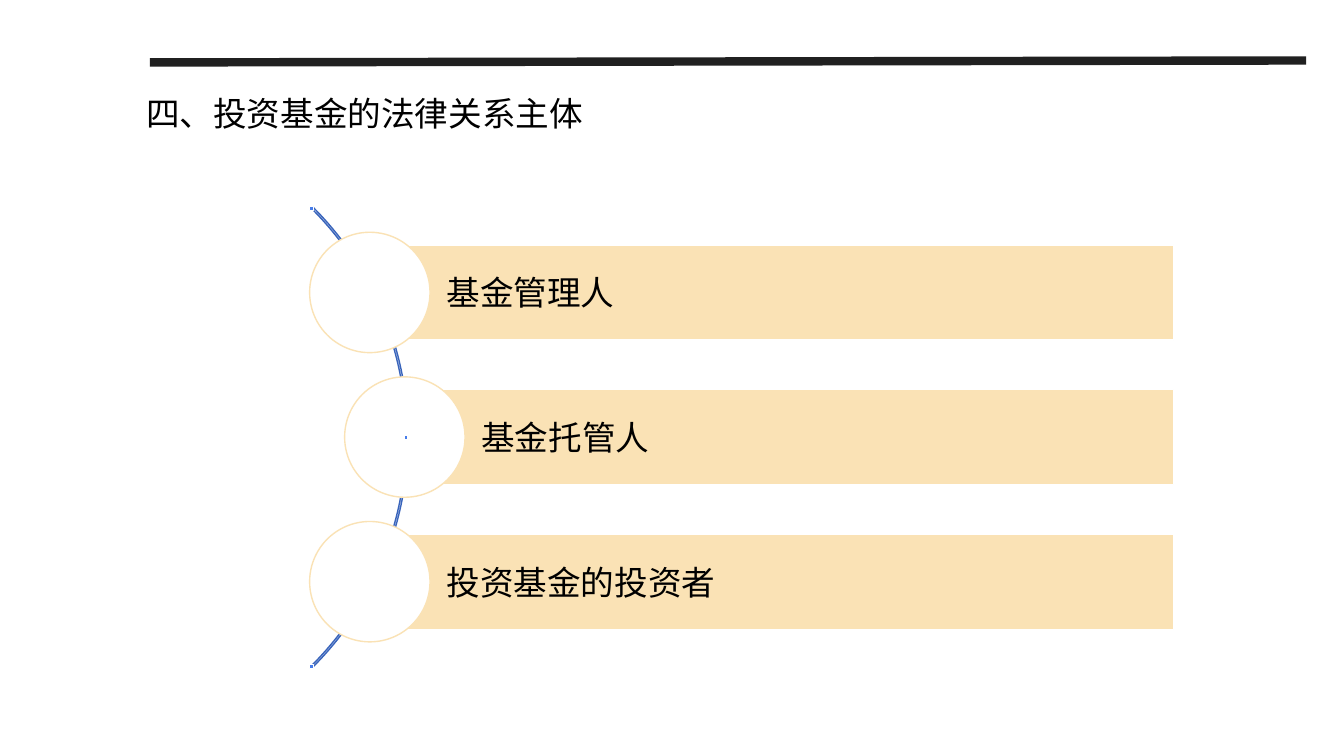
from lxml.etree import SubElement
from pptx import Presentation
from pptx.dml.color import RGBColor
from pptx.enum.shapes import MSO_CONNECTOR, MSO_SHAPE
from pptx.enum.text import MSO_ANCHOR, PP_ALIGN
from pptx.oxml.ns import qn
from pptx.util import Pt

FONT = "Noto Sans CJK SC"
SAND, WHITE, BLUE = "FAE2B5", "FFFFFF", "477DEA"


def write(frame, text, left=7.2, edge=3.6, anchor=MSO_ANCHOR.TOP, lead=1.0, before=0):
    frame.word_wrap = True
    frame.vertical_anchor = anchor
    frame.margin_left, frame.margin_right = Pt(left), Pt(edge)
    frame.margin_top = frame.margin_bottom = Pt(edge)
    para = frame.paragraphs[0]
    para.alignment = PP_ALIGN.LEFT
    para.line_spacing, para.space_before = lead, Pt(before)
    run = para.add_run()
    run.text = text
    run.font.size, run.font.name = Pt(24), FONT
    run.font.color.rgb = RGBColor.from_string("000000")
    SubElement(run.font._element, qn("a:ea"), typeface=FONT)


def draw(kind, x, y, w, h, line, fill=None):
    shape = slide.shapes.add_shape(kind, Pt(x), Pt(y), Pt(w), Pt(h))
    shape.shadow.inherit = False
    if fill:
        shape.fill.solid()
        shape.fill.fore_color.rgb = RGBColor.from_string(fill)
    else:
        shape.fill.background()
    shape.line.color.rgb = RGBColor.from_string(line)
    shape.line.width = Pt(1)
    return shape


deck = Presentation()
deck.slide_width, deck.slide_height = Pt(960), Pt(540)
slide = deck.slides.add_slide(deck.slide_layouts[5])

# Rule above the title
rule = slide.shapes.add_connector(
    MSO_CONNECTOR.STRAIGHT, Pt(107), Pt(44.6), Pt(933), Pt(43.2))
rule.line.color.rgb = RGBColor.from_string("202020")
rule.line.width = Pt(6)
SubElement(rule._element.spPr, qn("a:effectLst"))

# Title
title = slide.shapes.title
title.left, title.top, title.width, title.height = Pt(97.2), Pt(55.4), Pt(578), Pt(94.3)
write(title.text_frame, "四、投资基金的法律关系主体", lead=1.25, before=10)

# Arc behind the list
mid, size = 312.2, 464.4
arc = draw(MSO_SHAPE.BLOCK_ARC, -172.8, mid - size / 2, size, size, "3964BB")
for i, value in enumerate((189, 27, 0.003)):
    arc.adjustments[i] = value

# Bars, each starting at the centre of its circle
right, pitch, tall, disc = 838.2, 103.3, 68, 86
rows = [(264.2, "基金管理人"), (289.2, "基金托管人"), (264.2, "投资基金的投资者")]
for i, (x, text) in enumerate(rows):
    y = mid + (i - 1) * pitch
    bar = draw(MSO_SHAPE.RECTANGLE, x, y - tall / 2, right - x, tall, WHITE, SAND)
    write(bar.text_frame, text, left=54.7, edge=5, anchor=MSO_ANCHOR.MIDDLE)
    draw(MSO_SHAPE.OVAL, x - disc / 2, y - disc / 2, disc, disc, SAND, WHITE)

# Small marks at the ends and middle of the arc
for i, x in enumerate((221, 288.7, 221)):
    draw(MSO_SHAPE.RECTANGLE, x, 311 + (i - 1) * 163.5, 2.9, 2.9, WHITE, BLUE)

deck.save("out.pptx")
